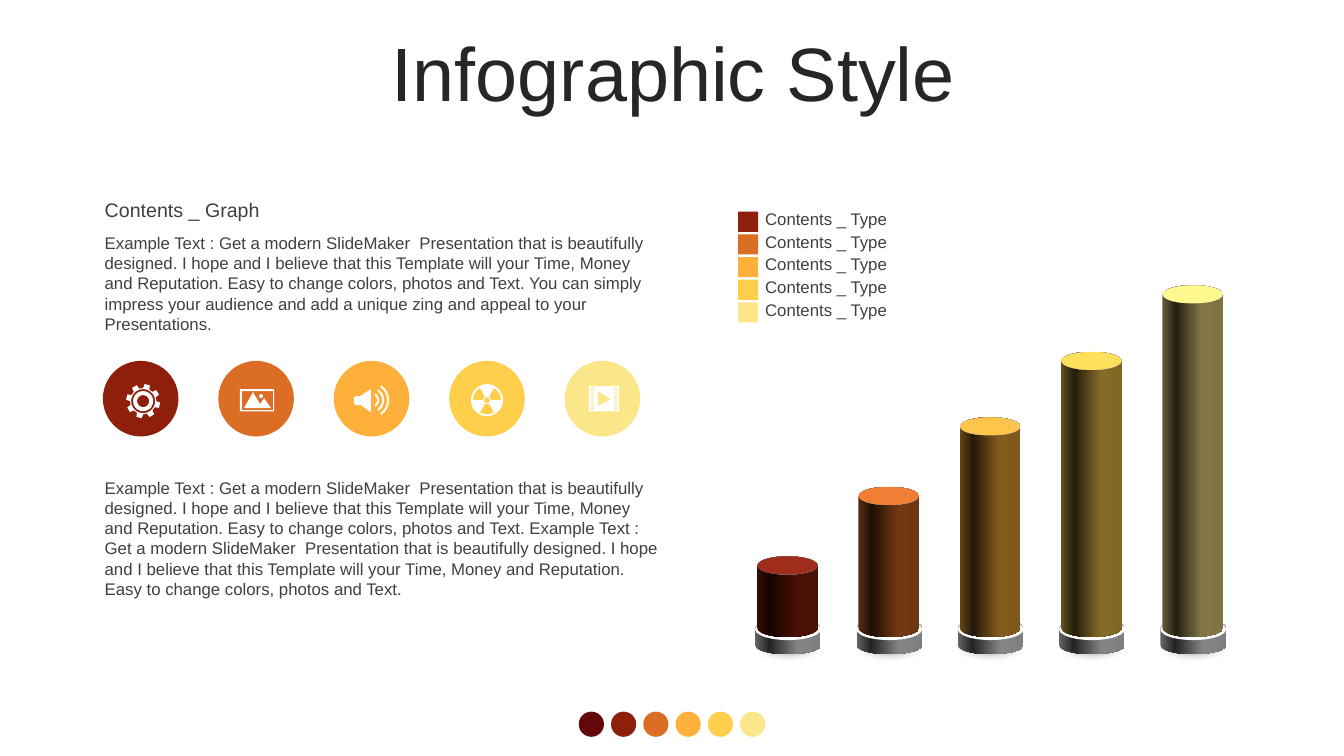
from math import cos, pi, sin

from lxml import etree
from pptx import Presentation
from pptx.dml.color import RGBColor
from pptx.enum.shapes import MSO_SHAPE
from pptx.enum.text import MSO_ANCHOR, PP_ALIGN
from pptx.oxml.ns import qn
from pptx.util import Inches, Pt

OVAL, RECT, CAN = MSO_SHAPE.OVAL, MSO_SHAPE.RECTANGLE, MSO_SHAPE.CAN
MIDDLE, TOP = MSO_ANCHOR.MIDDLE, MSO_ANCHOR.TOP
CENTER, LEFT = PP_ALIGN.CENTER, PP_ALIGN.LEFT

WHITE = RGBColor(0xFF, 0xFF, 0xFF)
INK = RGBColor(0x26, 0x26, 0x26)
GRAY = RGBColor(0x40, 0x40, 0x40)
STONE = RGBColor(0x80, 0x80, 0x80)
WINE = RGBColor(0x63, 0x07, 0x0A)
THEME = [
    RGBColor(0x8E, 0x1F, 0x0B),
    RGBColor(0xDB, 0x6D, 0x25),
    RGBColor(0xFF, 0xB0, 0x3B),
    RGBColor(0xFF, 0xCE, 0x4B),
    RGBColor(0xFC, 0xE6, 0x8A),
]
CAPS = [
    RGBColor(0xA0, 0x2D, 0x1C),
    RGBColor(0xF0, 0x7F, 0x35),
    RGBColor(0xFF, 0xC4, 0x4B),
    RGBColor(0xFF, 0xE0, 0x5C),
    RGBColor(0xFF, 0xF9, 0x8F),
]
SHADE = [(0, 0.4), (22, 0.14), (65, 0.52), (100, 0.5)]  # position %, light
TOPS = [5.52, 4.83, 4.14, 3.49, 2.83]

PITCH = "Get a modern SlideMaker  Presentation that is beautifully designed. "
HOPE = ("I hope and I believe that this Template will your Time, Money and "
        "Reputation. Easy to change colors, photos and Text.")
LEAD = "Example Text : " + PITCH + HOPE
INTRO = LEAD + (" You can simply impress your audience and add a unique zing "
                "and appeal to your Presentations.")
CLOSE = LEAD + " " + LEAD


# Basic elements
def add_shape(slide, kind, box, color):
    shape = slide.shapes.add_shape(kind, *map(Inches, box))
    paint(shape, color)
    return shape


def paint(shape, color):
    shape.shadow.inherit = False
    shape.fill.solid()
    shape.fill.fore_color.rgb = color
    shape.line.fill.background()


def add_text(slide, box, text, size, color=GRAY, anchor=TOP, align=LEFT):
    frame = slide.shapes.add_textbox(*map(Inches, box)).text_frame
    frame.word_wrap = True
    frame.vertical_anchor = anchor
    para = frame.paragraphs[0]
    para.text = text
    para.alignment = align
    para.font.name = "Arial"
    para.font.size = Pt(size)
    para.font.color.rgb = color
    return para


def outline(slide, loops):
    loops = [[(Inches(x), Inches(y)) for x, y in loop] for loop in loops]
    draft = slide.shapes.build_freeform(*loops[0][0])
    for num, loop in enumerate(loops):
        if num:
            draft.move_to(*loop[0])
        draft.add_line_segments(loop[1:], close=True)
    paint(draft.convert_to_shape(), WHITE)


# Geometry, with angles in degrees
def arc(x, y, size, start, end, steps=6):
    turns = [(start + (end - start) * i / steps) * pi / 180
             for i in range(steps + 1)]
    return [(x + size * cos(t), y + size * sin(t)) for t in turns]


def ring(x, y, size):
    return arc(x, y, size, 0, 342, 19)


def band(x, y, inner, outer, start, end):
    return arc(x, y, inner, start, end) + arc(x, y, outer, end, start)


def block(x, y, wide, high):
    return [(x, y), (x + wide, y), (x + wide, y + high), (x, y + high)]


# Icons, each a list of loops around its centre
def gear(x, y):
    teeth = []
    for i in range(8):
        mid = -76 + 45 * i
        teeth += arc(x, y, 0.17, mid - 9, mid + 9, 1)
        teeth += arc(x, y, 0.13, mid + 14, mid + 31, 1)
    return [teeth] + [ring(x, y, size) for size in (0.12, 0.1, 0.06)]


def photo(x, y):
    peaks = [(-0.13, 0.08), (-0.04, -0.08), (0.03, 0.04), (0.07, -0.02),
             (0.14, 0.08)]
    return [block(x - 0.17, y - 0.11, 0.34, 0.22),
            block(x - 0.15, y - 0.09, 0.31, 0.19),
            [(x + dx, y + dy) for dx, dy in peaks],
            arc(x + 0.04, y - 0.04, 0.02, 0, 315, 7)]


def horn(x, y):
    cone = [(-0.18, -0.02), (-0.16, -0.04), (-0.12, -0.04), (-0.01, -0.11),
            (-0.01, 0.12), (-0.11, 0.05), (-0.16, 0.05), (-0.18, 0.03)]
    waves = [band(x - 0.01, y, size, size + 0.02, -55, 55)
             for size in (0.06, 0.11, 0.16)]
    return [[(x + dx, y + dy) for dx, dy in cone]] + waves


def atom(x, y):
    blades = [band(x, y, 0.04, 0.14, a, a + 60) for a in (60, 180, 300)]
    return [ring(x, y, 0.16), arc(x, y, 0.03, 0, 330, 11)] + blades


def film(x, y):
    holes = [block(x + dx, y - 0.11 + 0.0265 * i, 0.03, 0.013)
             for dx in (-0.13, 0.1) for i in range(9)]
    play = [(x - 0.06, y - 0.07), (x - 0.06, y + 0.08), (x + 0.07, y + 0.01)]
    return [block(x - 0.15, y - 0.12, 0.3, 0.25), play] + holes


# Columns of the graph
def tube(slide, box, curve, color):
    shape = add_shape(slide, CAN, box, color)
    shape.adjustments[0] = curve
    shape.fill.gradient()
    shape.fill.gradient_angle = 0
    stops = shape._element.spPr.find(qn("a:gradFill")).find(qn("a:gsLst"))
    for stop in list(stops):
        stops.remove(stop)
    for place, light in SHADE:
        stop = etree.SubElement(stops, qn("a:gs"), pos=str(place * 1000))
        tone = RGBColor(*(int(part * light) for part in color))
        etree.SubElement(stop, qn("a:srgbClr"), val=str(tone))


def pillar(slide, x, top, color, cap):
    glow = add_shape(slide, OVAL, (x - 0.46, 6.27, 0.93, 0.31), STONE)
    effects = glow._element.spPr.find(qn("a:effectLst"))
    etree.SubElement(effects, qn("a:softEdge"), rad=str(Inches(0.1)))
    tube(slide, (x - 0.32, 6.14, 0.65, 0.35), 0.5, WHITE)
    add_shape(slide, OVAL, (x - 0.32, 6.14, 0.65, 0.21), WHITE)
    tube(slide, (x - 0.3, top, 0.6, 6.32 - top), 0.3, color)
    add_shape(slide, OVAL, (x - 0.3, top, 0.6, 0.18), cap)


def main():
    deck = Presentation()
    deck.slide_width, deck.slide_height = Inches(13.33), Inches(7.5)
    slide = deck.slides.add_slide(deck.slide_layouts[6])

    # Palette dots
    for i, color in enumerate([WINE] + THEME):
        add_shape(slide, OVAL, (5.74 + 0.32 * i, 7.06, 0.25, 0.25), color)

    # Title and texts
    title = add_text(slide, (0.35, 0.37, 12.66, 0.79), "Infographic Style",
                     54, INK, MIDDLE, CENTER)
    title.line_spacing = 0.9
    add_text(slide, (0.94, 1.91, 5.73, 0.34), "Contents _ Graph", 14)
    add_text(slide, (0.94, 2.26, 5.73, 1.11), INTRO, 12)
    add_text(slide, (0.94, 4.69, 5.73, 1.31), CLOSE, 12)

    # Graph, legend and icons share one order of colours
    icons = [gear(1.42, 3.98), photo(2.55, 3.97), horn(3.69, 3.97),
             atom(4.83, 3.97), film(5.99, 3.95)]
    for i, color in enumerate(THEME):
        pillar(slide, 7.81 + 1.005 * i, TOPS[i], color, CAPS[i])
        row = 0.225 * i
        add_shape(slide, RECT, (7.32, 2.1 + row, 0.2, 0.2), color)
        add_text(slide, (7.49, 2.02 + row, 1.43, 0.3), "Contents _ Type", 12,
                 anchor=MIDDLE)
        add_shape(slide, OVAL, (1.02 + 1.145 * i, 3.58, 0.75, 0.75), color)
        outline(slide, icons[i])

    deck.save("out.pptx")


if __name__ == "__main__":
    main()
